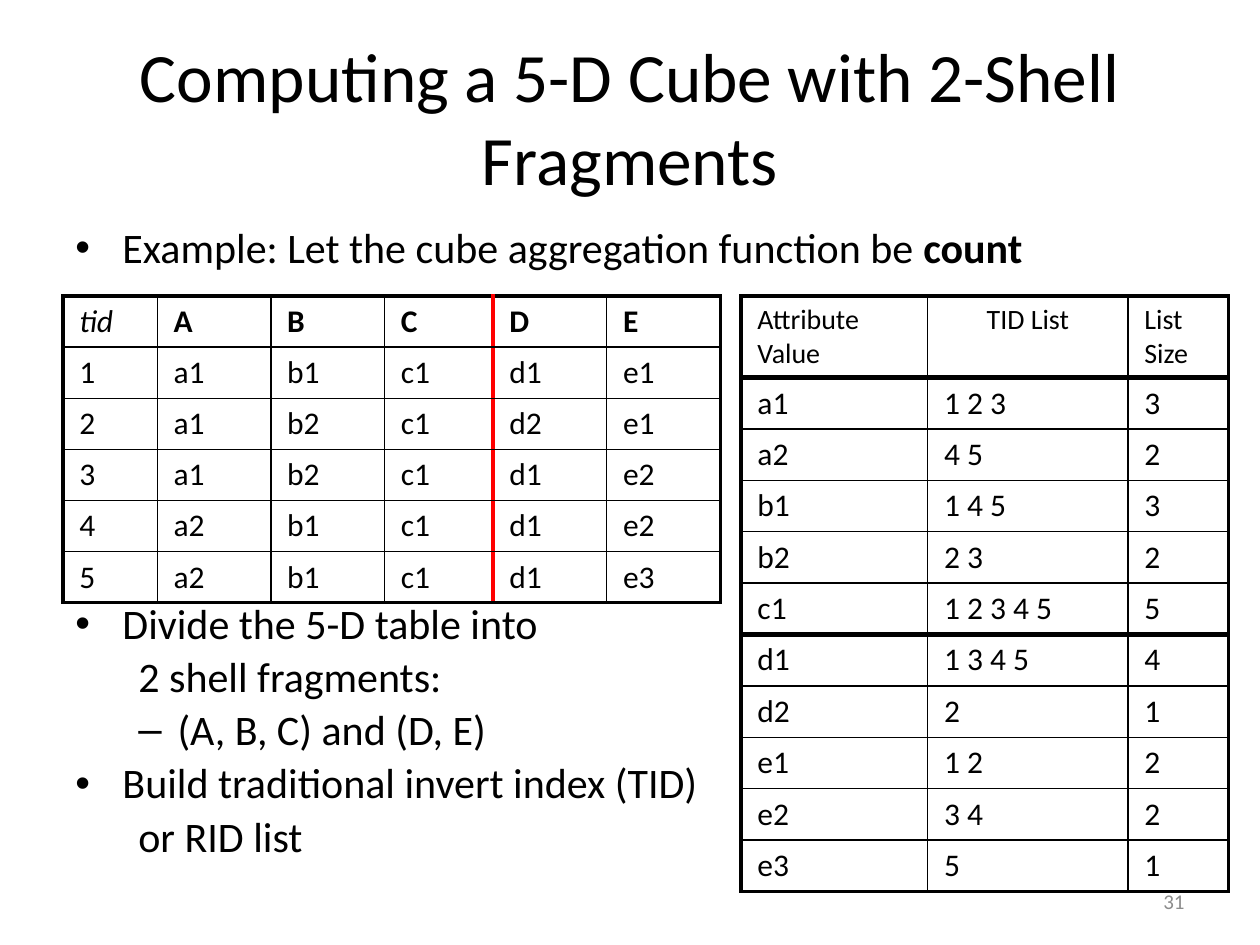
"""Build the slide on computing a 5-D cube with 2-shell fragments."""
from lxml import etree
from pptx import Presentation
from pptx.dml.color import RGBColor
from pptx.enum.text import MSO_ANCHOR, PP_ALIGN
from pptx.oxml.ns import qn
from pptx.util import Cm, Pt

BLACK = RGBColor(0, 0, 0)
RED = RGBColor(0xFF, 0, 0)
GREY = RGBColor(0x8C, 0x8C, 0x8C)
LEFT, CENTER, RIGHT = PP_ALIGN.LEFT, PP_ALIGN.CENTER, PP_ALIGN.RIGHT
TOP, MIDDLE = MSO_ANCHOR.TOP, MSO_ANCHOR.MIDDLE

FACTS = [
    "tid A B C D E".split(),
    "1 a1 b1 c1 d1 e1".split(),
    "2 a1 b2 c1 d2 e1".split(),
    "3 a1 b2 c1 d1 e2".split(),
    "4 a2 b1 c1 d1 e2".split(),
    "5 a2 b1 c1 d1 e3".split(),
]
LISTS = {
    "a1": "1 2 3", "a2": "4 5", "b1": "1 4 5", "b2": "2 3", "c1": "1 2 3 4 5",
    "d1": "1 3 4 5", "d2": "2", "e1": "1 2", "e2": "3 4", "e3": "5",
}
INDEX = [["Attribute Value", "TID List", "List Size"]]
INDEX += [[key, tids, str(len(tids.split()))] for key, tids in LISTS.items()]


class Deck:
    """Hold the text style and the current slide."""

    face = "Calibri"
    row_high = 1.03

    def __init__(self, slide):
        self.slide = slide

    def style(self, para, size, color=BLACK, align=LEFT):
        para.alignment = align
        para.font.name = self.face
        para.font.size = Pt(size)
        para.font.color.rgb = color

    def box(self, x, y, wide, high, anchor=TOP):
        shape = self.slide.shapes.add_textbox(Cm(x), Cm(y), Cm(wide), Cm(high))
        frame = shape.text_frame
        frame.word_wrap = True
        frame.vertical_anchor = anchor
        return frame

    def label(self, text, place, size, color, align):
        para = self.box(*place, anchor=MIDDLE).paragraphs[0]
        para.text = text
        self.style(para, size, color, align)

    def points(self, place, items):
        frame = self.box(*place)
        for num, (mark, margin, hang, parts) in enumerate(items):
            para = frame.add_paragraph() if num else frame.paragraphs[0]
            props = para._p.get_or_add_pPr()
            props.set("marL", str(Cm(margin)))
            props.set("indent", str(Cm(-hang)))
            if mark:
                font = etree.SubElement(props, qn("a:buFont"))
                font.set("typeface", "Arial")
                etree.SubElement(props, qn("a:buChar")).set("char", mark)
            para.line_spacing = 0.9
            para.space_before = Pt(4.5 if num else 0)
            self.style(para, 24)
            for text, bold in parts:
                run = para.add_run()
                run.text = text
                if bold:
                    run.font.bold = True

    def edge(self, cell, side, width, color):
        line = etree.SubElement(cell._tc.get_or_add_tcPr(), qn("a:ln" + side))
        line.set("w", str(Pt(width)))
        fill = etree.SubElement(line, qn("a:solidFill"))
        etree.SubElement(fill, qn("a:srgbClr")).set("val", str(color))

    def grid(self, x, y, cols, rows, head_high, bars=(), split=None):
        tall, wide = len(rows), len(cols)
        high = head_high + self.row_high * (tall - 1)
        table = self.slide.shapes.add_table(
            tall, wide, Cm(x), Cm(y), Cm(sum(cols)), Cm(high)).table
        table.first_row = table.horz_banding = False
        for col, size in zip(table.columns, cols):
            col.width = Cm(size)

        def across(num):
            return 3 if num in bars else 2.25 if num in (0, tall) else 1, BLACK

        def down(num):
            if num == split:
                return 3, RED
            return 2.25 if num in (0, wide) else 1, BLACK

        for r, row in enumerate(rows):
            table.rows[r].height = Cm(self.row_high if r else head_high)
            for c, text in enumerate(row):
                cell = table.cell(r, c)
                cell.margin_left = cell.margin_right = Cm(0.33)
                cell.margin_top = cell.margin_bottom = Cm(0.13)
                self.edge(cell, "L", *down(c))
                self.edge(cell, "R", *down(c + 1))
                self.edge(cell, "T", *across(r))
                self.edge(cell, "B", *across(r + 1))
                cell.fill.background()
                para = cell.text_frame.paragraphs[0]
                para.text = text
                self.style(para, 18)
        return table


def main():
    show = Presentation()
    show.slide_width, show.slide_height = Cm(25.4), Cm(19.05)
    deck = Deck(show.slides.add_slide(show.slide_layouts[6]))

    index = deck.grid(14.94, 5.97, [3.76, 4.04, 2.03], INDEX, 1.64, bars=(1, 6))
    for cell in index.rows[0].cells:
        cell.text_frame.paragraphs[0].font.size = Pt(16)
    index.cell(0, 1).text_frame.paragraphs[0].alignment = CENTER

    deck.label("Computing a 5-D Cube with 2-Shell Fragments",
               (1.27, 0.76, 22.86, 3.18), 39.6, BLACK, CENTER)
    deck.points((1.27, 4.45, 22.86, 1.3), [
        ("•", 0.95, 0.95, [("Example: Let the cube aggregation function be ", False),
                           ("count", True)]),
    ])
    deck.points((1.27, 12.03, 13.6, 5.7), [
        ("•", 0.95, 0.95, [("Divide the 5-D table into", False)]),
        ("", 1.27, 0, [("2 shell fragments:", False)]),
        ("–", 2.06, 0.79, [("(A, B, C) and (D, E)", False)]),
        ("•", 0.95, 0.95, [("Build traditional invert index (TID)", False)]),
        ("", 1.27, 0, [("or RID list", False)]),
    ])
    deck.label("31", (18.2, 17.65, 5.93, 1.02), 12, GREY, RIGHT)

    facts = deck.grid(1.27, 5.97, [1.9, 2.29, 2.29, 2.19, 2.29, 2.29], FACTS,
                      deck.row_high, split=4)
    for num, cell in enumerate(facts.rows[0].cells):
        font = cell.text_frame.paragraphs[0].font
        font.bold, font.italic = num > 0, num == 0
    show.save("out.pptx")


if __name__ == "__main__":
    main()
